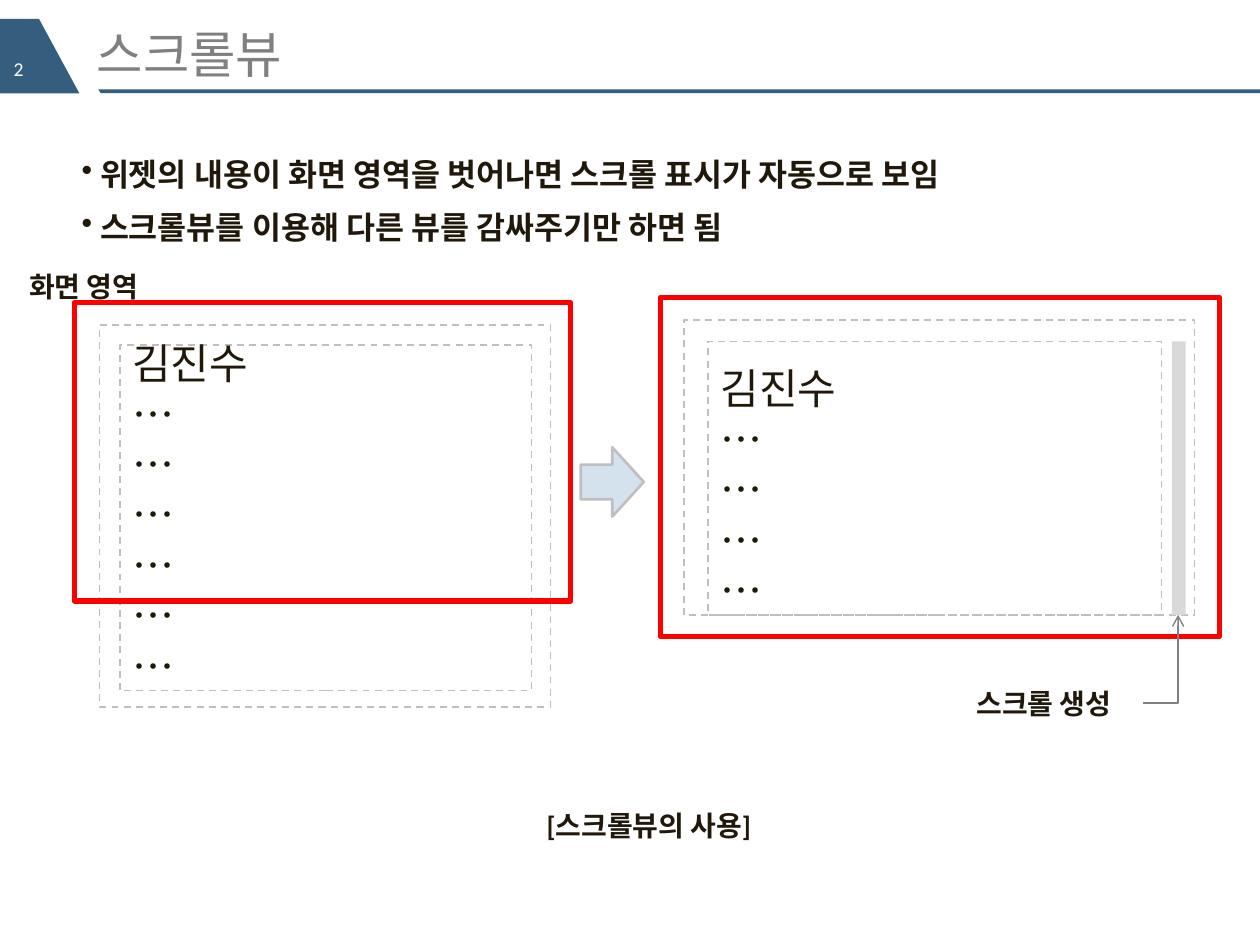
from typing import NamedTuple, Optional

from lxml import etree
from pptx import Presentation
from pptx import util as u
from pptx.dml.color import RGBColor
from pptx.enum import dml, shapes, text
from pptx.oxml.ns import qn

# The slide is a grid of 100 columns by 75 rows, each cell a tenth of an inch
COLUMNS, ROWS = 100, 75
CELL = u.Inches(0.1)

NAVY = RGBColor(0x35, 0x5D, 0x7E)
WHITE = RGBColor(0xFF, 0xFF, 0xFF)
INK = RGBColor(0x20, 0x19, 0x0B)
GRAY = RGBColor(0x80, 0x80, 0x80)
BORDER = RGBColor(0xBF, 0xBF, 0xBF)
TRACK = RGBColor(0xD9, 0xD9, 0xD9)
SKY = RGBColor(0xD4, 0xE2, 0xED)
RED = RGBColor(0xFF, 0x00, 0x00)

KOREAN = "Noto Sans CJK KR"
LEFT, CENTER = text.PP_ALIGN.LEFT, text.PP_ALIGN.CENTER
TOP, MIDDLE = text.MSO_ANCHOR.TOP, text.MSO_ANCHOR.MIDDLE


class Area(NamedTuple):
    column: float
    row: float
    columns: float
    rows: float


class Style(NamedTuple):
    size: float
    font: str = "Calibri"
    color: RGBColor = INK
    bold: bool = False
    align: text.PP_ALIGN = LEFT
    anchor: text.MSO_ANCHOR = TOP


class Outline(NamedTuple):
    color: RGBColor
    width: float
    dashed: bool = False


class Panel(NamedTuple):
    view: Area
    content: Area
    screen: Area
    dots: int
    screen_on_top: bool


LABEL = Style(16, bold=True, align=CENTER)
LIST = Style(18, "Karla", bold=True)
CONTENT = Style(24, KOREAN, anchor=text.MSO_ANCHOR.BOTTOM)
DASHED = Outline(BORDER, 1, True)
SCREEN = Outline(RED, 3)


def grid(*cells: float) -> list[u.Emu]:
    return [u.Emu(round(cell * CELL)) for cell in cells]


def write(shape, lines: list[str], style: Style) -> None:
    frame = shape.text_frame
    frame.word_wrap = True
    frame.vertical_anchor = style.anchor
    frame.text = "\n".join(lines)
    for paragraph in frame.paragraphs:
        paragraph.alignment = style.align
        for run in paragraph.runs:
            font = run.font
            font.size, font.bold, font.name = u.Pt(style.size), style.bold, style.font
            font.color.rgb = style.color
            east_asian = etree.SubElement(run._r.get_or_add_rPr(), qn("a:ea"))
            east_asian.set("typeface", KOREAN)


def add_text(slide, area: Area, lines: list[str], style: Style):
    box = slide.shapes.add_textbox(*grid(*area))
    write(box, lines, style)
    return box


def paint(shape, fill: Optional[RGBColor], outline: Optional[Outline]) -> None:
    shape.shadow.inherit = False
    if fill is None:
        shape.fill.background()
    else:
        shape.fill.solid()
        shape.fill.fore_color.rgb = fill
    if outline is None:
        shape.line.fill.background()
        return
    shape.line.color.rgb = outline.color
    shape.line.width = u.Pt(outline.width)
    if outline.dashed:
        shape.line.dash_style = dml.MSO_LINE.DASH


def add_box(slide, area: Area, fill: Optional[RGBColor] = None,
            outline: Optional[Outline] = None,
            kind: shapes.MSO_SHAPE = shapes.MSO_SHAPE.RECTANGLE):
    shape = slide.shapes.add_shape(kind, *grid(*area))
    paint(shape, fill, outline)
    return shape


def add_polygon(slide, points: list[tuple[float, float]]) -> None:
    start, *others = [tuple(grid(*point)) for point in points]
    builder = slide.shapes.build_freeform(*start)
    builder.add_line_segments(others, close=True)
    paint(builder.convert_to_shape(), NAVY, None)


def add_bullets(slide, area: Area, lines: list[str]) -> None:
    box = add_text(slide, area, lines, LIST)
    for paragraph in box.text_frame.paragraphs:
        paragraph.line_spacing = 1.2
        paragraph.space_after = u.Pt(LIST.size / 4)
        bullet = etree.SubElement(paragraph._p.get_or_add_pPr(), qn("a:buChar"))
        bullet.set("char", "•")


def add_panel(slide, panel: Panel) -> None:
    def add_screen() -> None:
        add_box(slide, panel.screen, outline=SCREEN)

    add_box(slide, panel.view, outline=DASHED)
    if not panel.screen_on_top:
        add_screen()
    content = add_box(slide, panel.content, outline=DASHED)
    write(content, ["김진수"] + ["…"] * panel.dots, CONTENT)
    content.text_frame.margin_bottom = 0
    for paragraph in content.text_frame.paragraphs:
        paragraph.line_spacing = u.Pt(CONTENT.size * 1.2)
    if panel.screen_on_top:
        add_screen()


def add_elbow_arrow(slide, start: tuple[float, float], end: tuple[float, float]) -> None:
    connector = slide.shapes.add_connector(
        shapes.MSO_CONNECTOR.ELBOW, *grid(*start, *end))
    connector.line.color.rgb = GRAY
    connector.line.width = u.Pt(0.79)
    properties = connector._element.spPr
    properties.find(qn("a:prstGeom")).set("prst", "bentConnector2")
    head = etree.SubElement(properties.find(qn("a:ln")), qn("a:tailEnd"))
    head.set("type", "arrow")
    etree.SubElement(properties, qn("a:effectLst"))


def main() -> None:
    presentation = Presentation()
    presentation.slide_width, presentation.slide_height = grid(COLUMNS, ROWS)
    slide = presentation.slides.add_slide(presentation.slide_layouts[6])

    # Header: rule, page tab and title
    add_polygon(slide, [(7.8, 7.1), (COLUMNS, 7.1), (COLUMNS, 7.4), (8, 7.4)])
    add_polygon(slide, [(3.1, 1.5), (6.3, 7.4), (0, 7.4), (0, 1.5)])
    add_text(slide, Area(0.1, 4, 5.8, 2.7), ["2"], Style(11.2, color=WHITE))
    add_text(slide, Area(6.7, 2.5, 89.2, 3.5), ["스크롤뷰"],
             Style(28.8, KOREAN, GRAY, anchor=MIDDLE))

    # Explanation and caption
    add_bullets(slide, Area(5.5, 11.2, 113.8, 8.7), [
        " 위젯의 내용이 화면 영역을 벗어나면 스크롤 표시가 자동으로 보임",
        " 스크롤뷰를 이용해 다른 뷰를 감싸주기만 하면 됨",
    ])
    add_text(slide, Area(27.2, 63.7, 48.6, 3.7), ["[스크롤뷰의 사용]"], LABEL)

    # Content that overflows the screen
    add_panel(slide, Panel(Area(7.9, 25.8, 35.8, 30.3), Area(9.5, 27.4, 32.7, 27.4),
                           Area(5.9, 24, 39.4, 23.7), 6, True))
    add_text(slide, Area(-1.2, 20.9, 15.7, 3.7), ["화면 영역"], LABEL)
    add_box(slide, Area(46.1, 35.5, 5, 5.5), SKY, Outline(BORDER, 1.5),
            shapes.MSO_SHAPE.RIGHT_ARROW)

    # Content inside the scroll view
    add_panel(slide, Panel(Area(54.3, 25.4, 40.5, 23.4), Area(56.2, 27.1, 36, 21.7),
                           Area(52.4, 23.6, 44.4, 26.9), 4, False))
    add_box(slide, Area(93, 27.1, 1.1, 21.7), TRACK)
    add_text(slide, Area(75, 54, 15.7, 3.7), ["스크롤 생성"], LABEL)
    add_elbow_arrow(slide, (90.7, 55.8), (93.5, 48.8))

    presentation.save("out.pptx")


if __name__ == "__main__":
    main()
